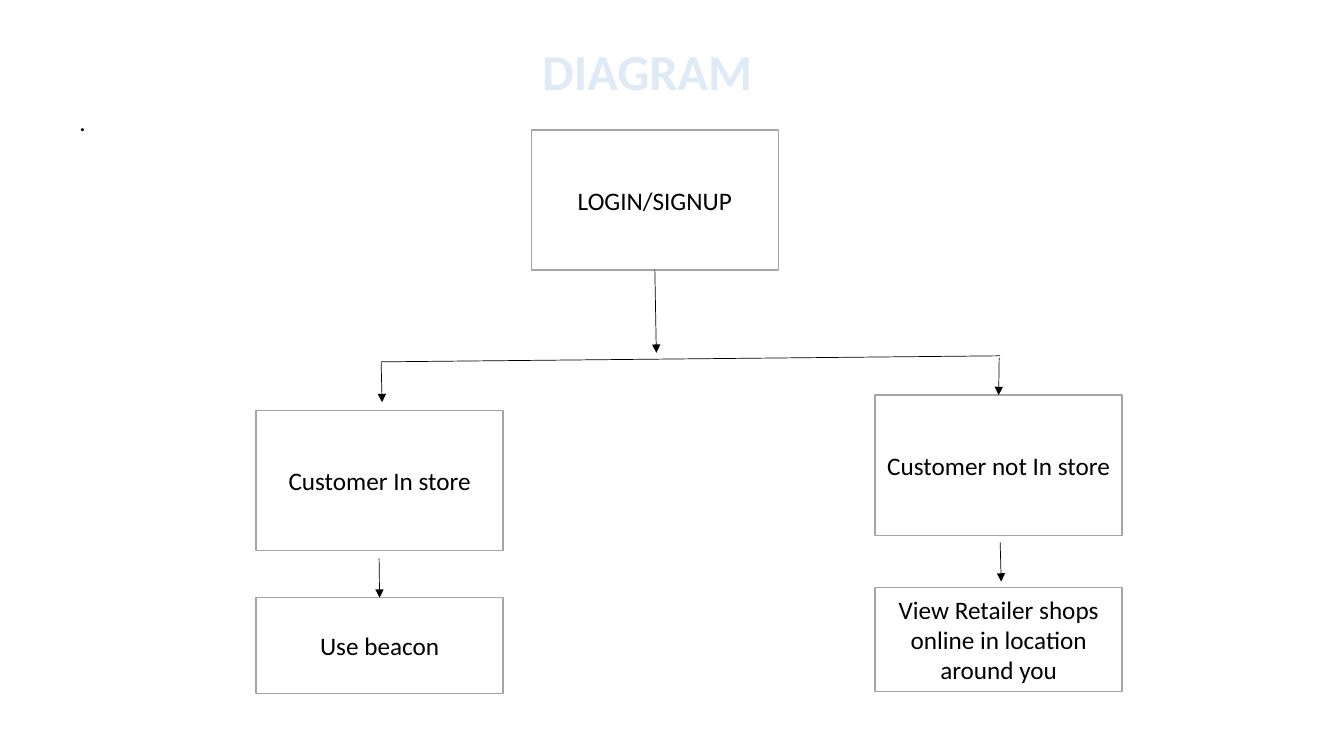
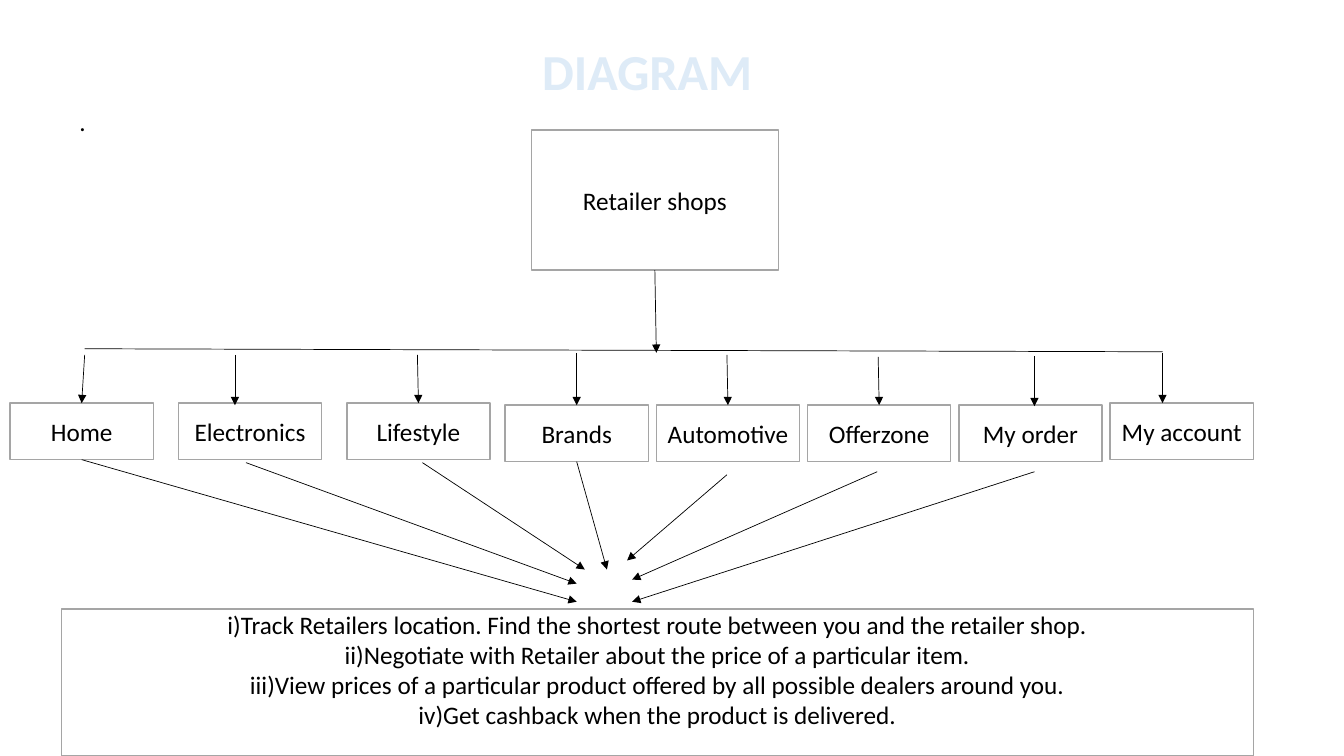
from pptx import Presentation
from pptx.util import Inches, Pt
from pptx.dml.color import RGBColor
from pptx.enum.shapes import MSO_SHAPE as Shape, MSO_CONNECTOR as Conn
from pptx.enum.text import PP_ALIGN as Align, MSO_ANCHOR as Anchor
from pptx.oxml.ns import qn
from lxml.etree import SubElement as Sub

BLACK = RGBColor(0, 0, 0)
WHITE = RGBColor(255, 255, 255)
GREY = RGBColor(0xA5, 0xA5, 0xA5)
PALE = RGBColor(0xDE, 0xEB, 0xF7)
FONT = "Calibri"
NEAR = Inches(0.03)  # a line end this close to a box side joins it

# Content: boxes are (text, left, top, width, height)
WIDE, TALL = 2.45, 1.39
LEFT, RIGHT = 2.54, 8.68
STORE = [
    ("Customer In store", LEFT, 4.07, WIDE, TALL),
    ("Customer not In store", RIGHT, 3.92, WIDE, TALL),
    ("Use beacon", LEFT, 5.93, WIDE, 0.95),
    ("View Retailer shops online in location around you",
     RIGHT, 5.83, WIDE, 1.03),
]
STORE_BAR = (3.78, 3.59, 9.92, 3.53)
STORE_ARROWS = [
    (3.78, 3.59, 3.79, 3.99), (9.91, 3.55, 9.92, 3.94),
    (3.76, 5.54, 3.78, 5.93), (9.92, 5.38, 9.93, 5.77),
]

MENU = ["Home", "Electronics", "Lifestyle", "Brands",
        "Automotive", "Offerzone", "My order", "My account"]
MENU_BAR = (0.84, 3.46, 11.53, 3.49)
DROPS = [(0.84, 3.52), (2.33, 3.52), (4.14, 3.52), (5.72, 3.5),
         (7.21, 3.52), (8.71, 3.54), (10.26, 3.53), (11.53, 3.5)]
FUNNEL = [
    (0.79, 4.56, 5.72, 5.97), (2.44, 4.59, 5.72, 5.79),
    (4.19, 4.59, 5.8, 5.65), (5.73, 4.59, 6.02, 5.65),
    (7.21, 4.71, 6.22, 5.56), (8.7, 4.68, 6.27, 5.75),
    (10.26, 4.68, 6.27, 5.97),
]
PERKS = [
    "i)Track Retailers location. Find the shortest route between you "
    "and the retailer shop.",
    "ii)Negotiate with Retailer about the price of a particular item.",
    "iii)View prices of a particular product offered by all possible "
    "dealers around you.",
    "iv)Get cashback when the product is delivered.",
]


def write(frame, lines, size=18, color=BLACK, bold=False, align=Align.CENTER):
    for i, line in enumerate(lines):
        para = frame.paragraphs[0] if i == 0 else frame.add_paragraph()
        para.alignment = align
        run = para.add_run()
        run.text = line
        font = run.font
        font.name, font.size, font.bold = FONT, Pt(size), bold
        font.color.rgb = color


def label(slide, text, x, y, w, h, wrap=True, **style):
    frame = slide.shapes.add_textbox(*map(Inches, (x, y, w, h))).text_frame
    frame.word_wrap = wrap
    write(frame, [text], **style)
    return frame


def box(slide, lines, x, y, w, h):
    rect = slide.shapes.add_shape(Shape.RECTANGLE, *map(Inches, (x, y, w, h)))
    rect.shadow.inherit = False
    rect.fill.solid()
    rect.fill.fore_color.rgb = WHITE
    rect.line.color.rgb = GREY
    rect.line.width = Pt(1)
    frame = rect.text_frame
    frame.word_wrap = True
    frame.vertical_anchor = Anchor.MIDDLE
    write(frame, lines)
    return rect


def join(rects, x, y, side, connect):
    for rect in rects:
        mid = rect.left + rect.width // 2
        edge = rect.top + (rect.height if side == 2 else 0)
        if abs(x - mid) <= NEAR and abs(y - edge) <= NEAR:
            connect(rect, side)


def link(slide, rects, ends, arrow=True):
    ax, ay, bx, by = map(Inches, ends)
    line = slide.shapes.add_connector(Conn.STRAIGHT, ax, ay, bx, by)
    line.line.color.rgb = BLACK
    line.line.width = Pt(0.5)
    if arrow:
        Sub(line.line._get_or_add_ln(), qn("a:tailEnd"), type="triangle")
    Sub(line._element.spPr, qn("a:effectLst"))
    join(rects, ax, ay, 2, line.begin_connect)
    join(rects, bx, by, 0, line.end_connect)


def start(deck, root):
    # Title, stray dot, root box and trunk arrow
    slide = deck.slides.add_slide(deck.slide_layouts[6])
    frame = label(slide, "DIAGRAM", 0.67, 0.3, 11.5, 0.8,
                  size=36, color=PALE, bold=True)
    frame.vertical_anchor = Anchor.MIDDLE
    label(slide, ".", 0.69, 1.01, 0.27, 0.71, wrap=False, align=Align.LEFT)
    rects = [box(slide, [root], 5.27, 1.29, WIDE, TALL)]
    link(slide, rects, (6.5, 2.68, 6.51, 3.5))
    return slide, rects


def main():
    deck = Presentation()
    deck.slide_width, deck.slide_height = Inches(13.33), Inches(7.5)

    # Login flow
    slide, rects = start(deck, "LOGIN/SIGNUP")
    rects += [box(slide, [text], *place) for text, *place in STORE]
    link(slide, rects, STORE_BAR, arrow=False)
    for ends in STORE_ARROWS:
        link(slide, rects, ends)

    # Shop menu: three loose boxes, then five tight ones
    slide, rects = start(deck, "Retailer shops")
    for i, text in enumerate(MENU):
        x = 0.1 + 1.67 * i if i < 3 else 5.01 + 1.5 * (i - 3)
        y = 4.02 if 3 <= i <= 6 else 4
        rects.append(box(slide, [text], x, y, 1.42, 0.56))
    link(slide, rects, MENU_BAR, arrow=False)
    for x, y in DROPS:
        link(slide, rects, (x, y, x, y + 0.5))
    for ends in FUNNEL:
        link(slide, rects, ends)

    # Perks
    frame = box(slide, PERKS, 0.61, 6.04, 11.82, 1.46).text_frame
    frame.vertical_anchor = Anchor.TOP
    frame.margin_top = 0

    deck.save("out.pptx")


if __name__ == "__main__":
    main()
